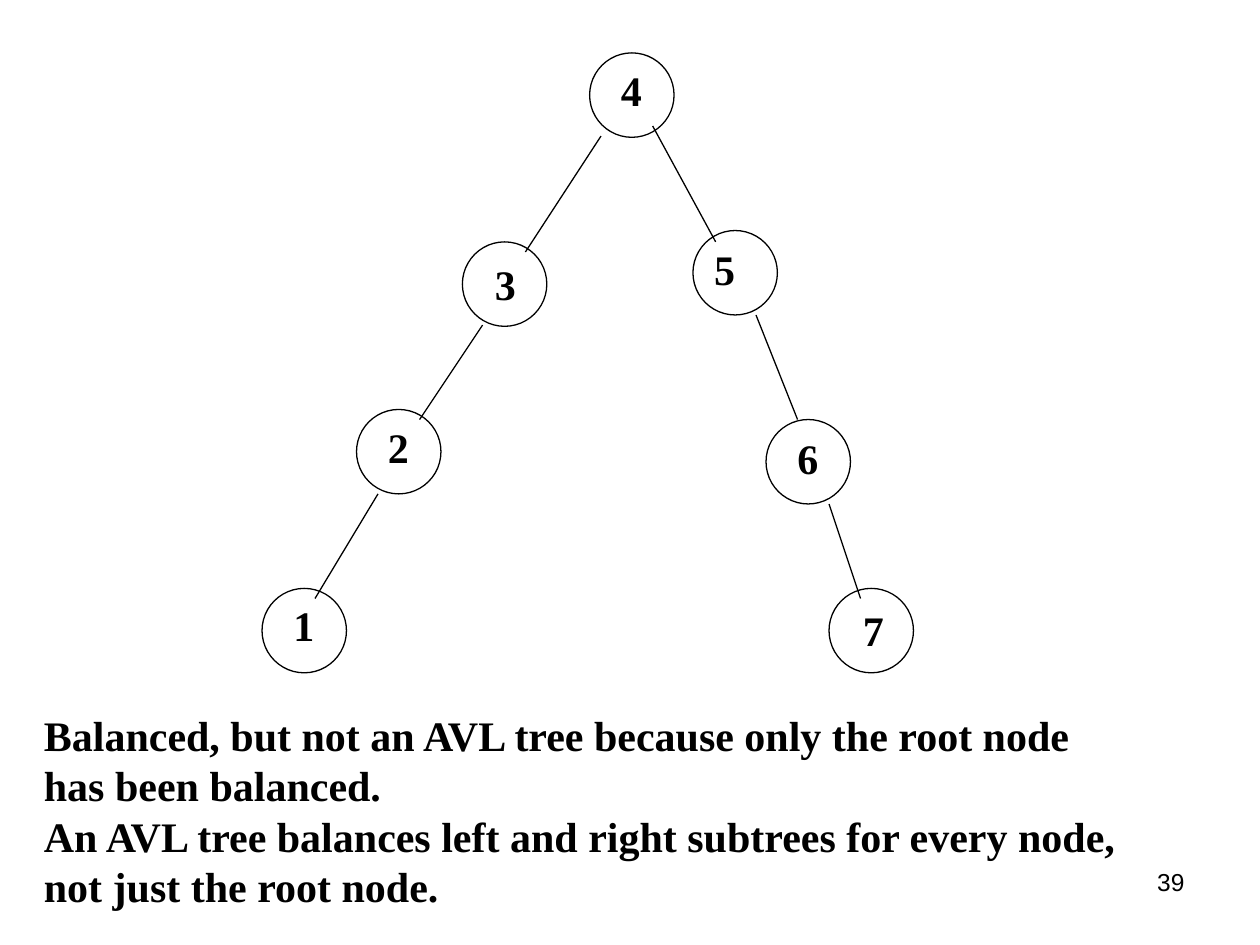
from lxml.etree import SubElement
from pptx import Presentation
from pptx.dml.color import RGBColor
from pptx.enum.shapes import MSO_CONNECTOR as Connector, MSO_SHAPE as Shape
from pptx.enum.text import MSO_ANCHOR as Anchor, MSO_AUTO_SIZE as AutoSize, PP_ALIGN as Align
from pptx.oxml.ns import qn
from pptx.util import Inches, Pt

# Content: key -> (circle left, top), (label left, top)
NODES = {
    "4": ((4.68, 0.42), (4.83, 0.46)),
    "3": ((3.67, 1.92), (3.83, 2.00)),
    "2": ((2.83, 3.25), (2.98, 3.30)),
    "1": ((2.08, 4.67), (2.23, 4.71)),
    "5": ((5.50, 1.83), (5.57, 1.88)),
    "6": ((6.08, 3.33), (6.23, 3.38)),
    "7": ((6.58, 4.67), (6.75, 4.75)),
}
# Edges from parent to child: start, end
EDGES = [
    ((4.77, 1.08), (4.17, 2.00)),
    ((3.83, 2.58), (3.33, 3.33)),
    ((3.00, 3.92), (2.50, 4.75)),
    ((5.18, 1.00), (5.68, 1.92)),
    ((6.00, 2.50), (6.33, 3.33)),
    ((6.58, 4.00), (6.83, 4.75)),
]
EXPLANATION = [
    "Balanced, but not an AVL tree because only the root node",
    "has been balanced.",
    "An AVL tree balances left and right subtrees for every node,",
    "not just the root node.",
]
PAGE_NUMBER = "39"

COLORS = {"ink": "000000", "background": "FFFFFF"}
BODY_FONT = {"name": "Times New Roman", "size": Pt(24), "bold": True}
NUMBER_FONT = {"name": "Arial", "size": Pt(14), "bold": False}
DIAMETER = 0.67
LABEL_SIZE = (0.37, 0.5)
INK = RGBColor.from_string(COLORS["ink"])


def style_line(line):
    line.color.rgb = INK
    line.width = Pt(0.75)


def add_circle(slide, left, top):
    circle = slide.shapes.add_shape(
        Shape.OVAL, *map(Inches, (left, top, DIAMETER, DIAMETER)))
    circle.shadow.inherit = False
    circle.fill.background()
    style_line(circle.line)


def add_edge(slide, start, end):
    edge = slide.shapes.add_connector(Connector.STRAIGHT, *map(Inches, start + end))
    style_line(edge.line)
    SubElement(edge._element.spPr, qn("a:effectLst"))


def add_text(slide, box, lines, font, align=Align.LEFT, wrap=False):
    frame = slide.shapes.add_textbox(*map(Inches, box)).text_frame
    frame.word_wrap = wrap
    frame.vertical_anchor = Anchor.TOP
    frame.auto_size = AutoSize.NONE if wrap else AutoSize.SHAPE_TO_FIT_TEXT
    for index, text in enumerate(lines):
        paragraph = frame.add_paragraph() if index else frame.paragraphs[0]
        paragraph.alignment = align
        run = paragraph.add_run()
        run.text = text
        for name, value in font.items():
            setattr(run.font, name, value)
        run.font.color.rgb = INK


def main():
    presentation = Presentation()
    presentation.slide_width, presentation.slide_height = Inches(10), Inches(7.5)
    slide = presentation.slides.add_slide(presentation.slide_layouts[6])
    slide.background.fill.solid()
    slide.background.fill.fore_color.rgb = RGBColor.from_string(COLORS["background"])

    # Tree
    for key, (circle_at, label_at) in NODES.items():
        add_circle(slide, *circle_at)
        add_text(slide, label_at + LABEL_SIZE, [key], BODY_FONT)
    for start, end in EDGES:
        add_edge(slide, start, end)

    # Explanation and page number
    add_text(slide, (0.25, 5.58, 8.89, 1.7), EXPLANATION, BODY_FONT)
    add_text(slide, (7.17, 6.83, 2.33, 0.52), [PAGE_NUMBER], NUMBER_FONT,
             align=Align.RIGHT, wrap=True)

    presentation.save("out.pptx")


if __name__ == "__main__":
    main()
